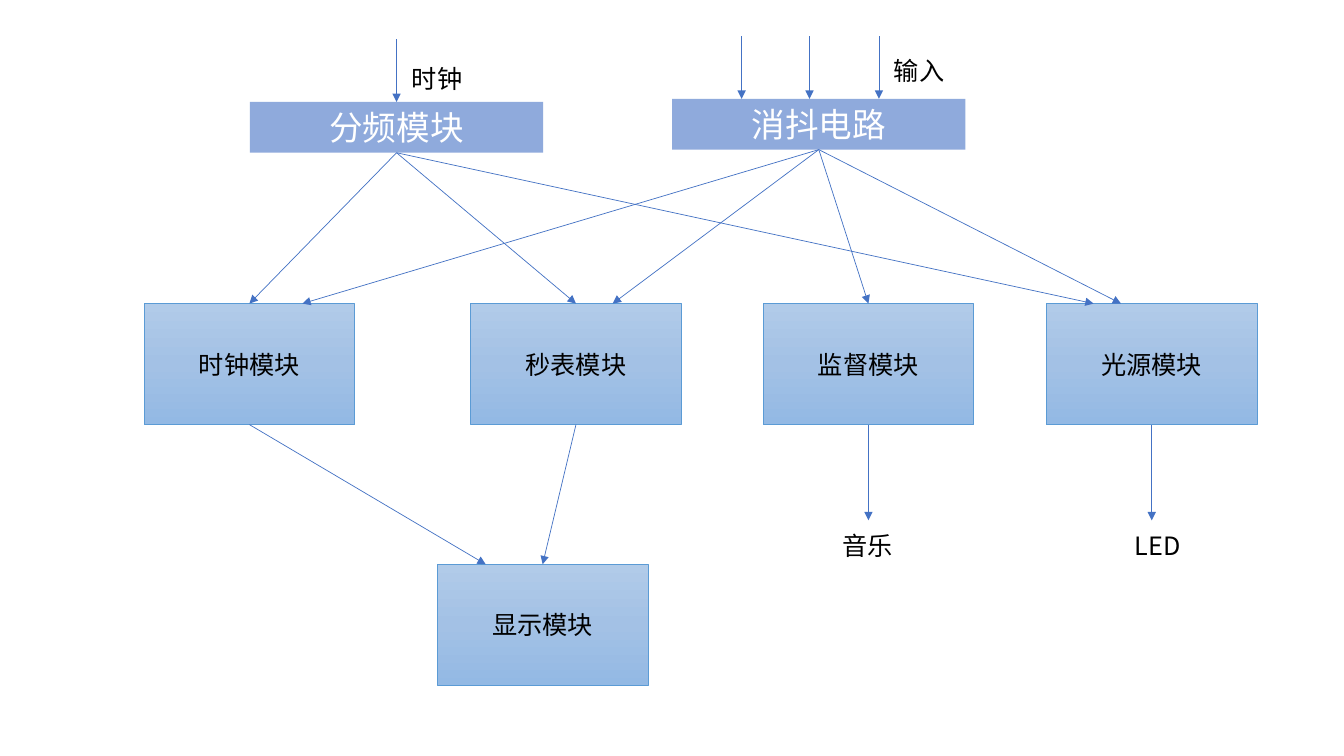
from copy import deepcopy
from collections import namedtuple

from lxml import etree
from pptx import Presentation
from pptx.dml.color import RGBColor
from pptx.enum.shapes import MSO_CONNECTOR as LINK, MSO_SHAPE as SHAPE
from pptx.enum.text import MSO_ANCHOR as ANCHOR, PP_ALIGN as ALIGN
from pptx.oxml.ns import qn
from pptx.util import Cm, Pt

FONT = "Noto Sans CJK SC"
BAR_WIDTH, BAR_HEIGHT = 7.39, 1.28
MODULE_WIDTH, MODULE_HEIGHT = 5.31, 3.05
MODULE_TOP = 7.65
INPUT_LENGTH, OUTPUT_LENGTH = 1.58, 2.41
LABEL_HEIGHT = 1.02

Box = namedtuple("Box", "left top width height")


def color(hex_value):
    return RGBColor.from_string(hex_value)


def port(box, offset=None, bottom=False):
    x = box.left + (box.width / 2 if offset is None else offset)
    return x, box.top + (box.height if bottom else 0)


def write(shape, text, size, hex_value, align):
    frame = shape.text_frame
    frame.text = text
    frame.word_wrap = True
    frame.vertical_anchor = ANCHOR.MIDDLE
    paragraph = frame.paragraphs[0]
    paragraph.alignment = align
    run = paragraph.runs[0]
    run.font.size = Pt(size)
    run.font.name = FONT
    run.font.color.rgb = color(hex_value)
    etree.SubElement(run.font._element, qn("a:ea"), typeface=FONT)


def draw_rectangle(slide, box):
    rectangle = slide.shapes.add_shape(SHAPE.RECTANGLE, *map(Cm, box))
    rectangle.shadow.inherit = False
    return rectangle


def draw_bar(slide, box, title):
    bar = draw_rectangle(slide, box)
    bar.fill.solid()
    bar.fill.fore_color.rgb = color("8FAADC")
    bar.line.fill.background()
    write(bar, title, 24, "FFFFFF", ALIGN.CENTER)


def draw_module(slide, box, title):
    module = draw_rectangle(slide, box)
    module.fill.gradient()
    module.fill.gradient_angle = 270
    stops = module._element.spPr.find(".//" + qn("a:gsLst"))
    stops.insert(1, deepcopy(stops[0]))
    shades = ((0, "B1CBE9"), (0.5, "A3C1E5"), (1, "93B9E4"))
    for stop, (position, shade) in zip(module.fill.gradient_stops, shades):
        stop.position = position
        stop.color.rgb = color(shade)
    module.line.color.rgb = color("5B9BD5")
    module.line.width = Pt(0.5)
    write(module, title, 18, "000000", ALIGN.CENTER)


def draw_label(slide, box, text):
    label = slide.shapes.add_textbox(*map(Cm, box))
    write(label, text, 18, "000000", ALIGN.LEFT)


def draw_arrow(slide, start, end):
    arrow = slide.shapes.add_connector(LINK.STRAIGHT, *map(Cm, start + end))
    arrow.line.color.rgb = color("4472C4")
    arrow.line.width = Pt(0.5)
    etree.SubElement(arrow.line._get_or_add_ln(), qn("a:tailEnd"), type="triangle")
    etree.SubElement(arrow._element.spPr, qn("a:effectLst"))


def draw_source(slide, box, title, input_offsets, signal, signal_box):
    draw_bar(slide, box, title)
    for offset in input_offsets:
        x, y = port(box, offset)
        draw_arrow(slide, (x, y - INPUT_LENGTH), (x, y))
    dx, dy, width = signal_box
    draw_label(slide, Box(box.left + dx, box.top + dy, width, LABEL_HEIGHT), signal)


def draw_output(slide, module_box, text, dx, width):
    x, y = port(module_box, bottom=True)
    tip = y + OUTPUT_LENGTH
    draw_arrow(slide, (x, y), (x, tip))
    draw_label(slide, Box(module_box.left + dx, tip + 0.12, width, LABEL_HEIGHT), text)


def draw_block_diagram(slide):
    divider = Box(6.3, 2.57, BAR_WIDTH, BAR_HEIGHT)
    debouncer = Box(16.94, 2.49, BAR_WIDTH, BAR_HEIGHT)
    clock, stopwatch, monitor, light = (
        Box(left, MODULE_TOP, MODULE_WIDTH, MODULE_HEIGHT)
        for left in (3.63, 11.86, 19.23, 26.37)
    )
    display = Box(11.02, 14.22, MODULE_WIDTH, MODULE_HEIGHT)

    draw_source(slide, debouncer, "消抖电路", (1.75, 3.46, 5.21), "输入", (5.34, -1.22, 1.93))
    draw_source(slide, divider, "分频模块", (None,), "时钟", (3.83, -1.1, 2.49))

    modules = (
        (clock, "时钟模块"),
        (stopwatch, "秒表模块"),
        (monitor, "监督模块"),
        (light, "光源模块"),
        (display, "显示模块"),
    )
    for box, title in modules:
        draw_module(slide, box, title)

    links = (
        (divider, clock, None),
        (divider, stopwatch, None),
        (divider, light, 1.19),
        (debouncer, clock, 3.99),
        (debouncer, stopwatch, 3.58),
        (debouncer, monitor, None),
        (debouncer, light, 1.88),
        (clock, display, 1.22),
        (stopwatch, display, None),
    )
    for source, target, offset in links:
        draw_arrow(slide, port(source, bottom=True), port(target, offset))

    draw_output(slide, monitor, "音乐", 1.75, 2.69)
    draw_output(slide, light, "LED", 1.98, 2.51)


def main():
    presentation = Presentation()
    presentation.slide_width = Cm(33.87)
    presentation.slide_height = Cm(19.05)
    slide = presentation.slides.add_slide(presentation.slide_layouts[6])
    draw_block_diagram(slide)
    presentation.save("out.pptx")


if __name__ == "__main__":
    main()
